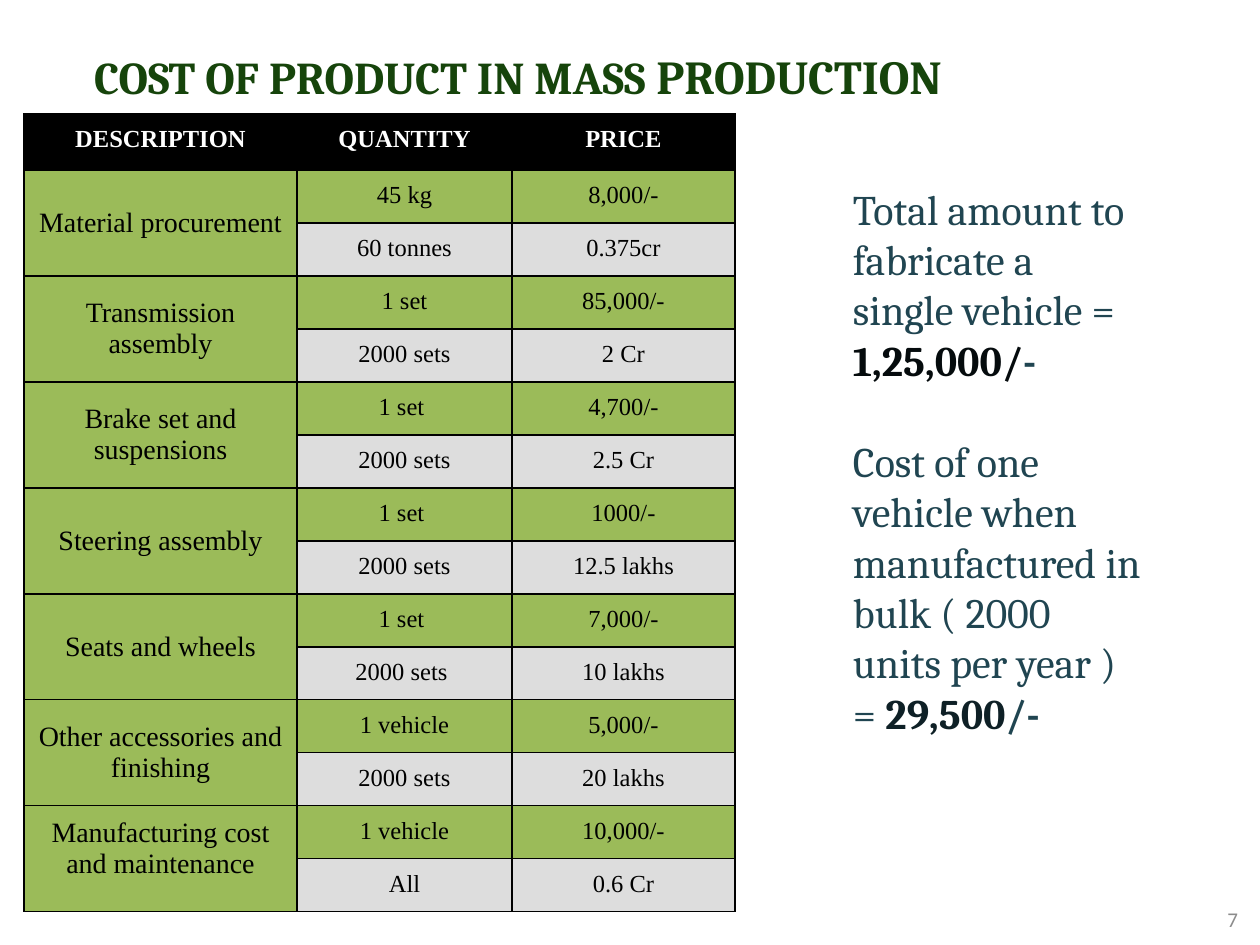
from dataclasses import dataclass

from lxml.etree import SubElement
from pptx import Presentation
from pptx.dml.color import RGBColor
from pptx.enum.text import MSO_ANCHOR, MSO_AUTO_SIZE, PP_ALIGN
from pptx.oxml import parse_xml
from pptx.oxml.ns import nsdecls, qn
from pptx.util import Emu, Pt

# Content
TITLE = [("COST OF PRODUCT IN MASS ", 26), ("PRODUCTION", 27)]
HEAD = ["DESCRIPTION", "QUANTITY", "PRICE"]
COSTS = [
    ("Material procurement", ("45 kg", "8,000/-"), ("60 tonnes", "0.375cr")),
    ("Transmission assembly", ("1 set", "85,000/-"), ("2000 sets", "2 Cr")),
    ("Brake set and suspensions", ("1 set ", "4,700/-"), ("2000 sets", "2.5 Cr")),
    ("Steering assembly", ("1 set ", "1000/-"), ("2000 sets", "12.5 lakhs")),
    ("Seats and wheels", ("1 set ", "7,000/-"), ("2000 sets ", "10 lakhs")),
    ("Other accessories and finishing", ("1 vehicle", "5,000/-"), ("2000 sets", "20 lakhs")),
    ("Manufacturing cost and maintenance", ("1 vehicle", "10,000/-"), ("All", "0.6 Cr")),
]
# Each run: text, colour name, bold
TOTALS = [
    [("Total amount to fabricate a single vehicle = ", "teal", False),
     ("1,25,000/", "ink", True), ("-", "teal", True)],
    [("Cost of one vehicle when manufactured in bulk ( 2000 units per year ) = ", "teal", False),
     ("29,500", "navy", True), ("/-", "teal", True)],
]
PAGE = "7"


@dataclass(frozen=True)
class Theme:
    serif: str = "Cambria"
    roman: str = "Times New Roman"
    sans: str = "Calibri"
    title: str = "16440B"
    teal: str = "204551"
    ink: str = "050B0D"
    navy: str = "0E2026"
    black: str = "000000"
    white: str = "FFFFFF"
    green: str = "9BBB59"
    pale: str = "DDDDDD"
    grey: str = "8C8C8C"
    body: int = 24
    item: int = 16
    cell: int = 14
    page: int = 12


LOOK = Theme()

# Layout in px, 126 to the inch
COLS = [273, 215, 223]
TOP, LEFT, HEAD_H, ROW_H = 114, 24, 56, 53
PAD = 12


def px(n):
    return Emu(round(n * 914400 / 126))


def put(shape, x, y, w, h):
    shape.left, shape.top, shape.width, shape.height = map(px, (x, y, w, h))


def frame(shape, pad, anchor):
    text = shape.text_frame
    text.word_wrap = True
    text.auto_size = MSO_AUTO_SIZE.NONE
    text.vertical_anchor = anchor
    text.margin_left = text.margin_right = px(pad)
    text.margin_top = text.margin_bottom = px(pad)
    return text


def add_run(para, text, face, size, color, bold=False):
    run = para.add_run()
    run.text = text
    font = run.font
    font.name, font.size, font.bold = face, Pt(size), bold
    font.color.rgb = RGBColor.from_string(color)


def border(cell):
    props = cell._tc.get_or_add_tcPr()
    for i, side in enumerate(("lnL", "lnR", "lnT", "lnB")):
        props.insert(i, parse_xml(
            f'<a:{side} {nsdecls("a")} w="12700"><a:solidFill>'
            f'<a:srgbClr val="{LOOK.black}"/></a:solidFill></a:{side}>'))


def fill_cell(cell, text, fill, size, color=LOOK.black, bold=False):
    cell.fill.solid()
    cell.fill.fore_color.rgb = RGBColor.from_string(fill)
    cell.margin_left = cell.margin_right = px(PAD)
    cell.margin_top = cell.margin_bottom = px(PAD)
    para = cell.text_frame.paragraphs[0]
    para.alignment = PP_ALIGN.CENTER
    add_run(para, text, LOOK.roman, size, color, bold)


def add_title(slide):
    shape = slide.shapes.title
    put(shape, 18, 35, 1000, 77)
    para = frame(shape, PAD, MSO_ANCHOR.TOP).paragraphs[0]
    para.alignment = PP_ALIGN.CENTER
    for text, size in TITLE:
        add_run(para, text, LOOK.serif, size, LOOK.title, True)


def add_costs(slide):
    count = 1 + 2 * len(COSTS)
    high = HEAD_H + ROW_H * (count - 1)
    shape = slide.shapes.add_table(
        count, len(COLS), px(LEFT), px(TOP), px(sum(COLS)), px(high))
    table = shape.table
    for col, wide in zip(table.columns, COLS):
        col.width = px(wide)
    for i, row in enumerate(table.rows):
        row.height = px(ROW_H if i else HEAD_H)

    for i, text in enumerate(HEAD):
        fill_cell(table.cell(0, i), text, LOOK.black, LOOK.cell, LOOK.white, True)

    # Each item spans two rows: single unit, then bulk
    for i, (item, *pairs) in enumerate(COSTS):
        top = 1 + 2 * i
        name = table.cell(top, 0)
        name.merge(table.cell(top + 1, 0))
        fill_cell(name, item, LOOK.green, LOOK.item)
        last = i == len(COSTS) - 1
        name.vertical_anchor = MSO_ANCHOR.TOP if last else MSO_ANCHOR.MIDDLE
        for j, (pair, fill) in enumerate(zip(pairs, (LOOK.green, LOOK.pale))):
            for k, text in enumerate(pair, 1):
                fill_cell(table.cell(top + j, k), text, fill, LOOK.cell)

    for cell in table.iter_cells():
        border(cell)


def add_totals(slide):
    shape = slide.placeholders[1]
    put(shape, 841, 171, 314, 585)
    text = frame(shape, PAD, MSO_ANCHOR.TOP)
    for i, runs in enumerate(TOTALS):
        para = text.add_paragraph() if i else text.paragraphs[0]
        para.alignment = PP_ALIGN.LEFT
        para.space_before = Pt(29 if i else 0)
        props = para._p.get_or_add_pPr()
        props.set("marL", "0")
        props.set("indent", "0")
        SubElement(props, qn("a:buNone"))
        for words, color, bold in runs:
            add_run(para, words, LOOK.serif, LOOK.body, getattr(LOOK, color), bold)


def add_page(slide):
    shape = slide.shapes.add_textbox(px(1213), px(901), px(25), px(37))
    para = frame(shape, 0, MSO_ANCHOR.MIDDLE).paragraphs[0]
    para.alignment = PP_ALIGN.RIGHT
    add_run(para, PAGE, LOOK.sans, LOOK.page, LOOK.grey)


def main():
    deck = Presentation()
    deck.slide_width, deck.slide_height = px(1260), px(945)
    slide = deck.slides.add_slide(deck.slide_layouts[1])
    for add in (add_page, add_costs, add_title, add_totals):
        add(slide)
    deck.save("out.pptx")


if __name__ == "__main__":
    main()
